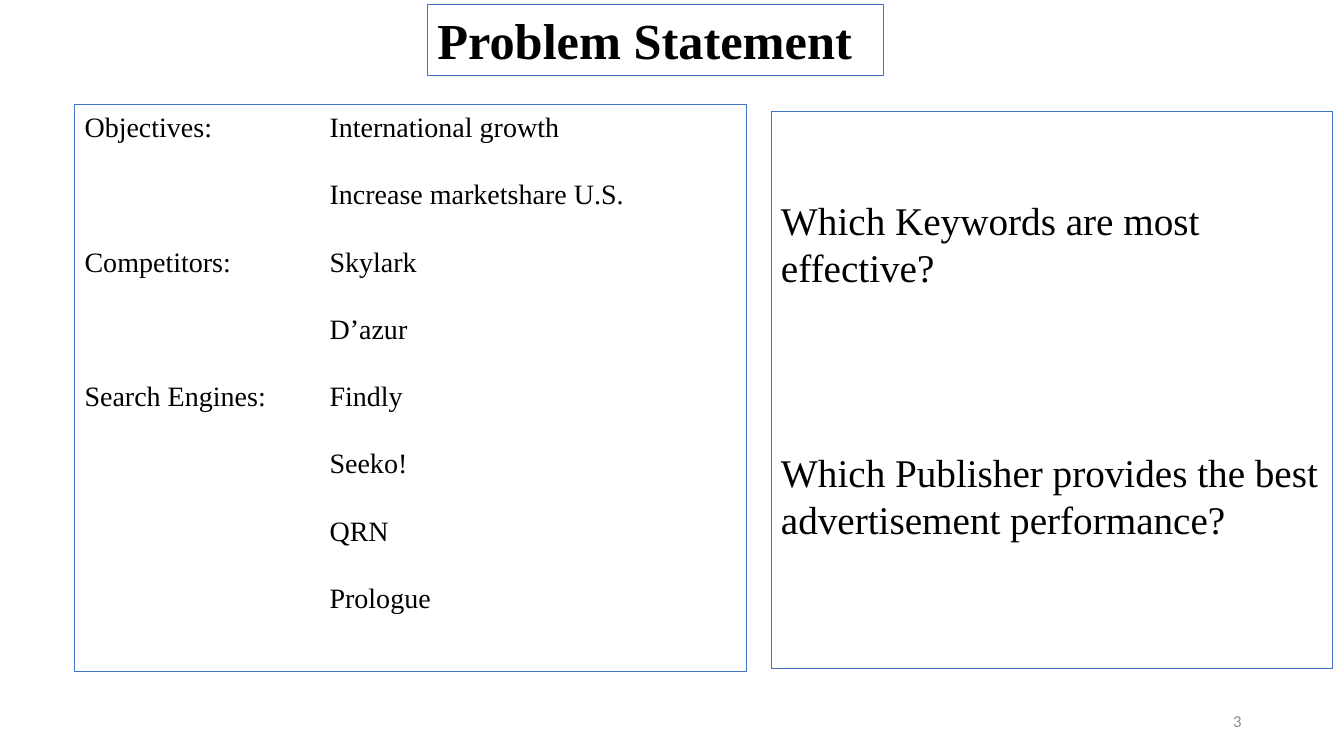
from pptx import Presentation
from pptx.dml.color import RGBColor
from pptx.enum.shapes import MSO_SHAPE
from pptx.enum.text import MSO_ANCHOR, PP_ALIGN
from pptx.util import Pt
from lxml.etree import SubElement
from pptx.oxml.ns import qn

BLACK = RGBColor(0x00, 0x00, 0x00)
BLUE = RGBColor(0x44, 0x72, 0xC4)
GREY = RGBColor(0x8C, 0x8C, 0x8C)
SERIF = "Times New Roman"

TOPICS = [
    ("Objectives:", ["International growth", "Increase marketshare U.S."]),
    ("Competitors:", ["Skylark", "D’azur"]),
    ("Search Engines:", ["Findly", "Seeko!", "QRN", "Prologue"]),
]
QUESTIONS = [
    "Which Keywords are most effective?",
    "Which Publisher provides the best advertisement performance?",
]


def add_frame(s, x, y, w, h):
    """Outlined box without fill; returns its text frame."""
    sp = s.shapes.add_shape(MSO_SHAPE.RECTANGLE, Pt(x), Pt(y), Pt(w), Pt(h))
    sp.shadow.inherit = False
    sp.fill.background()
    sp.line.color.rgb = BLUE
    sp.line.width = Pt(0.75)
    tf = sp.text_frame
    tf.word_wrap = True
    tf.vertical_anchor = MSO_ANCHOR.TOP
    return tf


def add_lines(tf, lines, size, gap=0, bold=False, tab=None):
    """One paragraph per line, with an equal gap between them."""
    for i, line in enumerate(lines):
        p = tf.add_paragraph() if i else tf.paragraphs[0]
        p.text = line
        p.alignment = PP_ALIGN.LEFT
        p.line_spacing = Pt(size * 1.2)
        if i:
            p.space_before = Pt(gap)
        if tab:
            tabs = SubElement(p._p.get_or_add_pPr(), qn("a:tabLst"))
            SubElement(tabs, qn("a:tab"), pos=str(Pt(tab)), algn="l")
        for r in p.runs:
            r.font.name = SERIF
            r.font.size = Pt(size)
            r.font.bold = bold
            r.font.color.rgb = BLACK


def add_title(s, x, y, w, h):
    add_lines(add_frame(s, x, y, w, h), ["Problem Statement"], 36, bold=True)


def add_topics(s, x, y, w, h):
    # The label stands only beside the first item of its topic
    lines = [f"{'' if i else label}\t{item}"
             for label, items in TOPICS for i, item in enumerate(items)]
    add_lines(add_frame(s, x, y, w, h), lines, 20, gap=24, tab=175)


def add_questions(s, x, y, w, h):
    tf = add_frame(s, x, y, w, h)
    tf.margin_top = Pt(60)
    add_lines(tf, QUESTIONS, 28, gap=112.8)


def add_page_number(s, x, y, w, h):
    tf = s.shapes.add_textbox(Pt(x), Pt(y), Pt(w), Pt(h)).text_frame
    tf.word_wrap = True
    tf.vertical_anchor = MSO_ANCHOR.MIDDLE
    p = tf.paragraphs[0]
    p.text = "3"
    p.alignment = PP_ALIGN.RIGHT
    r = p.runs[0]
    r.font.name = "Calibri"
    r.font.size = Pt(12)
    r.font.color.rgb = GREY


def main():
    prs = Presentation()
    prs.slide_width, prs.slide_height = Pt(960), Pt(540)
    s = prs.slides.add_slide(prs.slide_layouts[6])
    add_page_number(s, 678, 500.5, 216, 28.75)
    add_title(s, 305.3, 3, 326, 51)
    add_topics(s, 53.3, 74.8, 480, 404.6)
    add_questions(s, 550.8, 79.9, 401, 397.4)
    prs.save("out.pptx")


if __name__ == "__main__":
    main()
